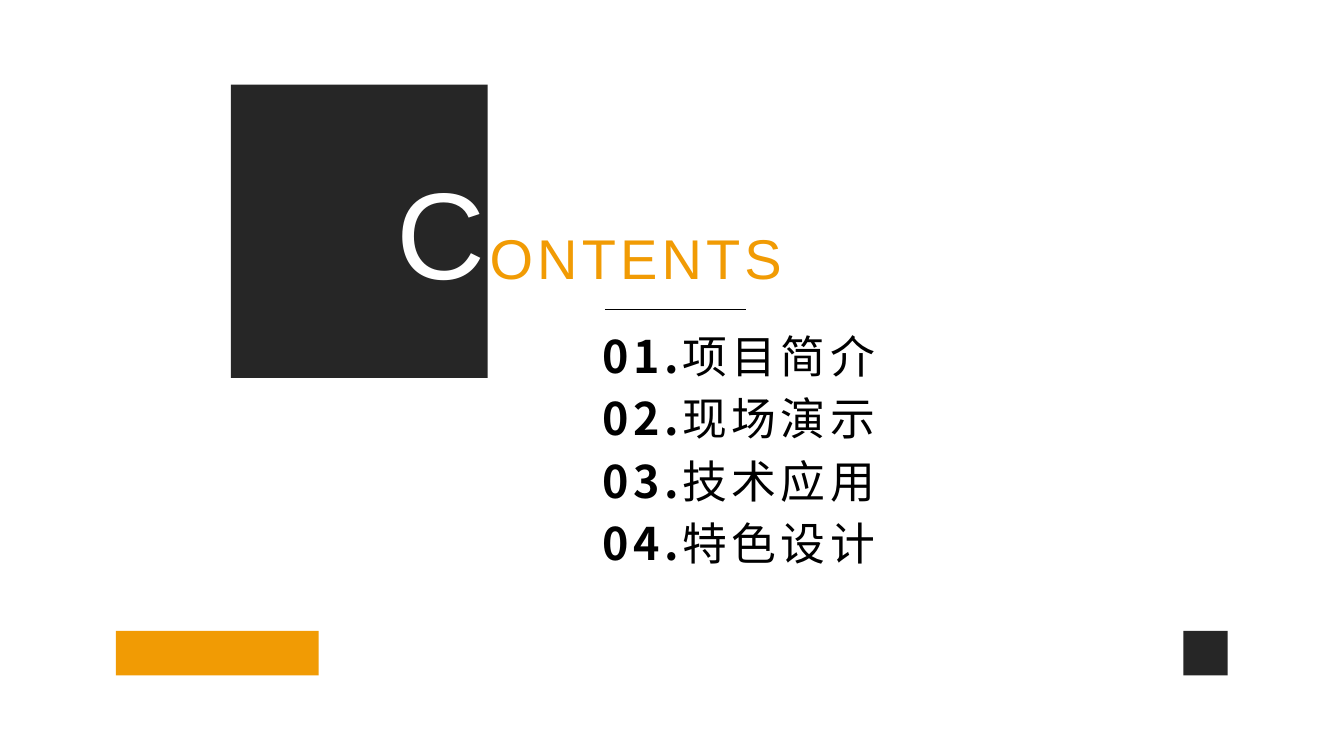
from lxml.etree import SubElement
from pptx import Presentation
from pptx.dml.color import RGBColor
from pptx.enum.shapes import MSO_CONNECTOR as Connector, MSO_SHAPE as Shape
from pptx.enum.text import MSO_ANCHOR as Anchor, MSO_AUTO_SIZE as AutoSize, PP_ALIGN as Align
from pptx.oxml.ns import qn
from pptx.util import Inches, Pt

WIDTH, HEIGHT = Inches(13.33), Inches(7.5)
COLUMNS = ROWS = 100
COLORS = {"dark": "262626", "accent": "F19B04", "black": "000000", "white": "FFFFFF"}
LATIN, CHINESE = "Arial", "Noto Sans CJK SC"
TOPICS = ["项目简介", "现场演示", "技术应用", "特色设计"]
FOOTER_ROW, FOOTER_ROWS = 83.47, 5.87


def color(key):
    return RGBColor.from_string(COLORS[key])


def across(columns):
    return round(WIDTH * columns / COLUMNS)


def down(rows):
    return round(HEIGHT * rows / ROWS)


def add_block(slide, column, row, columns, rows, fill):
    block = slide.shapes.add_shape(
        Shape.RECTANGLE, across(column), down(row), across(columns), down(rows))
    block.shadow.inherit = False
    block.fill.solid()
    block.fill.fore_color.rgb = color(fill)
    block.line.fill.background()


def add_rule(slide, start, end, row):
    rule = slide.shapes.add_connector(
        Connector.STRAIGHT, across(start), down(row), across(end), down(row))
    rule.line.color.rgb = color("black")
    rule.line.width = Pt(0.5)
    SubElement(rule.element.spPr, qn("a:effectLst"))


def place(placeholder, column, row, columns, rows, top_margin):
    placeholder.left, placeholder.top = across(column), down(row)
    placeholder.width, placeholder.height = across(columns), down(rows)
    frame = placeholder.text_frame
    frame.word_wrap = True
    frame.auto_size = AutoSize.NONE
    frame.vertical_anchor = Anchor.TOP
    frame.margin_top, frame.margin_bottom = Inches(top_margin), 0
    return frame


def write(paragraph, text, size, font, fill, bold=False, spacing=3):
    run = paragraph.add_run()
    run.text = text
    run.font.size, run.font.name, run.font.bold = Pt(size), font, bold
    run.font.color.rgb = color(fill)
    properties = run._r.get_or_add_rPr()
    properties.set("spc", str(spacing * 100))
    SubElement(properties, qn("a:ea"), typeface=font)


def add_title(slide):
    title = slide.shapes.title
    heading = place(title, 28.74, 20, 32.25, 20.93, 0.05).paragraphs[0]
    heading.alignment = Align.JUSTIFY
    write(heading, "C", size=88, font=LATIN, fill="white")
    write(heading, "ONTENTS", size=40, font=LATIN, fill="accent")
    slide.shapes.element.append(title.element)


def add_topics(slide):
    agenda = place(slide.placeholders[1], 44.1, 42.8, 55.9, 33.87, 0.11)
    for number, topic in enumerate(TOPICS, 1):
        entry = agenda.paragraphs[0] if number == 1 else agenda.add_paragraph()
        entry.line_spacing = 0.9
        entry.space_before, entry.space_after = Pt(0), Pt(10)
        properties = entry._p.get_or_add_pPr()
        properties.set("marL", "0")
        properties.set("indent", "0")
        SubElement(properties, qn("a:buNone"))
        write(entry, f"{number:02}.", size=32, font=CHINESE, fill="black", bold=True)
        write(entry, topic, size=32, font=CHINESE, fill="black")


def main():
    deck = Presentation()
    deck.slide_width, deck.slide_height = WIDTH, HEIGHT
    slide = deck.slides.add_slide(deck.slide_layouts[1])
    add_topics(slide)
    add_block(slide, 88.05, FOOTER_ROW, 3.3, FOOTER_ROWS, "dark")
    add_block(slide, 8.63, FOOTER_ROW, 15.08, FOOTER_ROWS, "accent")
    add_block(slide, 17.18, 11.2, 19.1, 38.8, "dark")
    add_title(slide)
    add_rule(slide, 45, 55.5, 40.93)
    deck.save("out.pptx")


if __name__ == "__main__":
    main()
